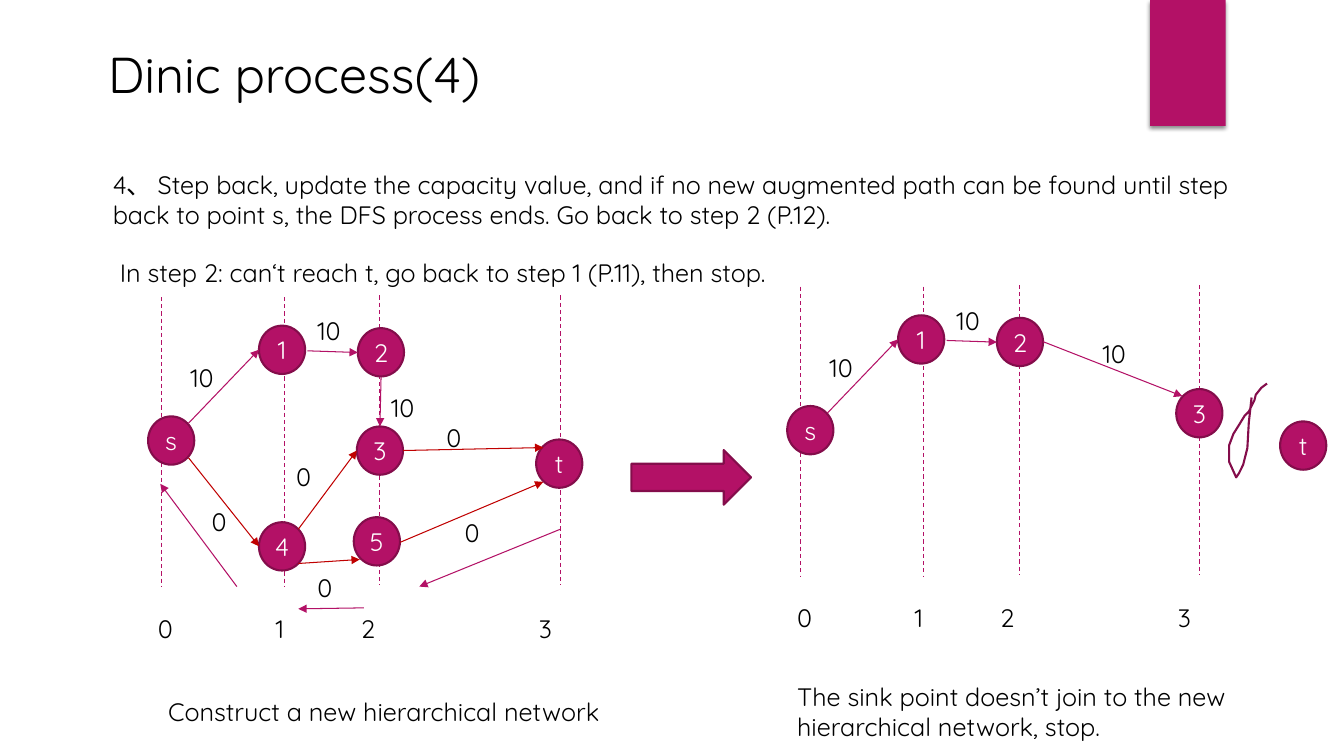
from lxml import etree
from pptx import Presentation
from pptx.dml.color import RGBColor
from pptx.enum.dml import MSO_LINE
from pptx.enum.shapes import MSO_CONNECTOR, MSO_SHAPE
from pptx.enum.text import MSO_ANCHOR, MSO_AUTO_SIZE, PP_ALIGN
from pptx.oxml.ns import qn
from pptx.util import Pt

STRAIGHT, DASH = MSO_CONNECTOR.STRAIGHT, MSO_LINE.DASH
RECTANGLE, OVAL, RIGHT_ARROW = MSO_SHAPE.RECTANGLE, MSO_SHAPE.OVAL, MSO_SHAPE.RIGHT_ARROW
LEFT, CENTER, MIDDLE = PP_ALIGN.LEFT, PP_ALIGN.CENTER, MSO_ANCHOR.MIDDLE
FONT = "Quicksand"
MAGENTA, PLUM, RED, BLACK, WHITE = "B31166", "840D4B", "C00000", "000000", "FFFFFF"
color = RGBColor.from_string

deck = Presentation()
deck.slide_width, deck.slide_height = Pt(960), Pt(540)
page = deck.slides.add_slide(deck.slide_layouts[5])
shapes = page.shapes


def write(box, text, size=18, hue=BLACK, align=LEFT, tab_stops=()):
    """Fill the box with one paragraph, with optional tab stops in points."""
    para = box.text_frame.paragraphs[0]
    para.text = text
    para.alignment = align
    if tab_stops:
        tab_list = etree.SubElement(para._p.get_or_add_pPr(), qn("a:tabLst"))
        for stop in tab_stops:
            etree.SubElement(tab_list, qn("a:tab"), pos=str(Pt(stop)), algn="l")
    para.font.name = FONT
    para.font.size = Pt(size)
    para.font.color.rgb = color(hue)


def draw_line(x1, y1, x2, y2, hue=MAGENTA, arrow=True):
    """Draw an arrow, or a dashed level line when arrow is False."""
    line = shapes.add_connector(STRAIGHT, Pt(x1), Pt(y1), Pt(x2), Pt(y2))
    line.line.color.rgb = color(hue)
    line.line.width = Pt(0.75)
    if arrow:
        etree.SubElement(line.line._get_or_add_ln(), qn("a:tailEnd"), type="triangle")
    else:
        line.line.dash_style = DASH
    etree.SubElement(line._element.spPr, qn("a:effectLst"))


# Title and corner band
title = shapes.title
title.left, title.top, title.width, title.height = Pt(70), Pt(24.5), Pt(690), Pt(55.5)
title.text_frame.auto_size = MSO_AUTO_SIZE.NONE
title.text_frame.vertical_anchor = MIDDLE
write(title, "Dinic process(4)", size=36)

band = shapes.add_shape(RECTANGLE, Pt(821.5), Pt(0), Pt(54), Pt(90))
band.fill.solid()
band.fill.fore_color.rgb = color(MAGENTA)
band.line.fill.background()
effects = etree.SubElement(band._element.spPr, qn("a:effectLst"))
shadow = etree.SubElement(effects, qn("a:outerShdw"), blurRad=str(Pt(3)),
                          dist=str(Pt(2)), dir="5400000", rotWithShape="0")
shadow_color = etree.SubElement(shadow, qn("a:srgbClr"), val=BLACK)
etree.SubElement(shadow_color, qn("a:alpha"), val="45000")

# Both networks share one coordinate system; the second is shifted by its offset
NODE_WIDTH, NODE_HEIGHT = 33, 34.5
LEVELS = [(115.2, 212.2), (203, 212.2), (271.4, 211), (400.3, 211)]
LEVEL_HEIGHT = 206.6
shared_nodes = [("s", 105.8, 297.4), ("1", 185, 232.6), ("2", 255.6, 234.4)]
shared_edges = [(134.6, 302.4, 185, 249.8, MAGENTA), (219.6, 250.6, 255.6, 251.8, MAGENTA)]
shared_capacities = [("10", 219.6, 221.6), ("10", 128.9, 255.4)]
networks = [
    {
        "offset": (0, 0),
        "nodes": [("3", 254.9, 304.6), ("4", 185, 373), ("5", 252.7, 369.4),
                  ("t", 383, 313.9)],
        "edges": [
            (272.2, 269.3, 271.4, 304.6, MAGENTA),
            (288, 321.8, 388.1, 319.7, RED),
            (285.8, 387.4, 388.1, 344.2, RED),
            (134.6, 326.9, 185, 390.2, RED),
            (213.1, 402.5, 257, 399.6, RED),
            (213.1, 378, 254.9, 321.8, RED),
            (400.3, 378, 299.5, 419, MAGENTA),
            (259.9, 434.2, 213.1, 434.9, MAGENTA),
            (169.2, 419, 114.5, 345.6, MAGENTA),
        ],
        "capacities": [("0", 144, 357.8), ("0", 219.6, 405.4), ("0", 324.7, 365.8),
                       ("10", 272.2, 276.5), ("0", 311.8, 298.1), ("0", 204.5, 326.2)],
    },
    {
        "offset": (456.5, -7.4),
        "nodes": [("3", 383.7, 285.3), ("t", 457.9, 308.4)],
        "edges": [(288.7, 251.5, 388.1, 290.4, MAGENTA)],
        "capacities": [("10", 324, 245.7)],
    },
]

for network in networks:
    dx, dy = network["offset"]
    for x, y in LEVELS:
        draw_line(x + dx, y + dy, x + dx, y + dy + LEVEL_HEIGHT, arrow=False)
    for name, x, y in shared_nodes + network["nodes"]:
        node = shapes.add_shape(OVAL, Pt(x + dx), Pt(y + dy), Pt(NODE_WIDTH), Pt(NODE_HEIGHT))
        node.shadow.inherit = False
        node.fill.solid()
        node.fill.fore_color.rgb = color(MAGENTA)
        node.line.color.rgb = color(PLUM)
        node.line.width = Pt(1.5)
        frame = node.text_frame
        frame.margin_left = frame.margin_right = frame.margin_top = frame.margin_bottom = 0
        frame.vertical_anchor = MIDDLE
        write(node, name, hue=WHITE, align=CENTER)
    for x1, y1, x2, y2, hue in shared_edges + network["edges"]:
        draw_line(x1 + dx, y1 + dy, x2 + dx, y2 + dy, hue)
    for value, x, y in shared_capacities + network["capacities"]:
        capacity = shapes.add_textbox(Pt(x + dx), Pt(y + dy), Pt(40), Pt(29))
        write(capacity, value)
    level_labels = shapes.add_textbox(Pt(105.8 + dx), Pt(434.2 + dy), Pt(307.5), Pt(29))
    write(level_labels, "0\t1\t2\t3", tab_stops=(84, 145, 272))

# Arrow between the networks
block_arrow = shapes.add_shape(RIGHT_ARROW, Pt(451), Pt(321.5), Pt(85.5), Pt(39))
block_arrow.shadow.inherit = False
block_arrow.fill.solid()
block_arrow.fill.fore_color.rgb = color(MAGENTA)
block_arrow.line.color.rgb = color(PLUM)
block_arrow.line.width = Pt(1.5)

# Pen stroke that cuts off the sink
stroke_points = [
    (893.5, 284.4), (892.3, 302), (890.6, 320.4), (887.8, 331.9), (885.2, 337.5),
    (882.7, 341.3), (878.4, 329.8), (877.7, 325.4), (878.4, 318), (881.3, 309.6),
    (886.3, 301.7), (889.2, 297.4), (892.1, 293.8), (895.7, 285.8), (897.1, 281.5),
    (901, 277.2), (905, 273.6),
]
builder = shapes.build_freeform(*stroke_points[0], scale=Pt(1))
builder.add_line_segments(stroke_points[1:], close=False)
stroke = builder.convert_to_shape()
stroke.shadow.inherit = False
stroke.fill.background()
stroke.line.color.rgb = color(PLUM)
stroke.line.width = Pt(1.5)

# Explanations and captions
passages = [
    ("4、 Step back, update the capacity value, and if no new augmented path can be found "
     "until step back to point s, the DFS process ends. Go back to step 2 (P.12).",
     73.5, 117.4, 852, 51),
    ("In step 2: can‘t reach t, go back to step 1 (P.11), then stop.", 78.5, 180, 599, 29),
    ("Construct a new hierarchical network", 113, 494, 351, 29),
    ("The sink point doesn’t join to the new hierarchical network, stop.", 562.3, 483, 362, 51),
]
for text, x, y, width, height in passages:
    passage = shapes.add_textbox(Pt(x), Pt(y), Pt(width), Pt(height))
    passage.text_frame.word_wrap = True
    write(passage, text)

deck.save("out.pptx")
